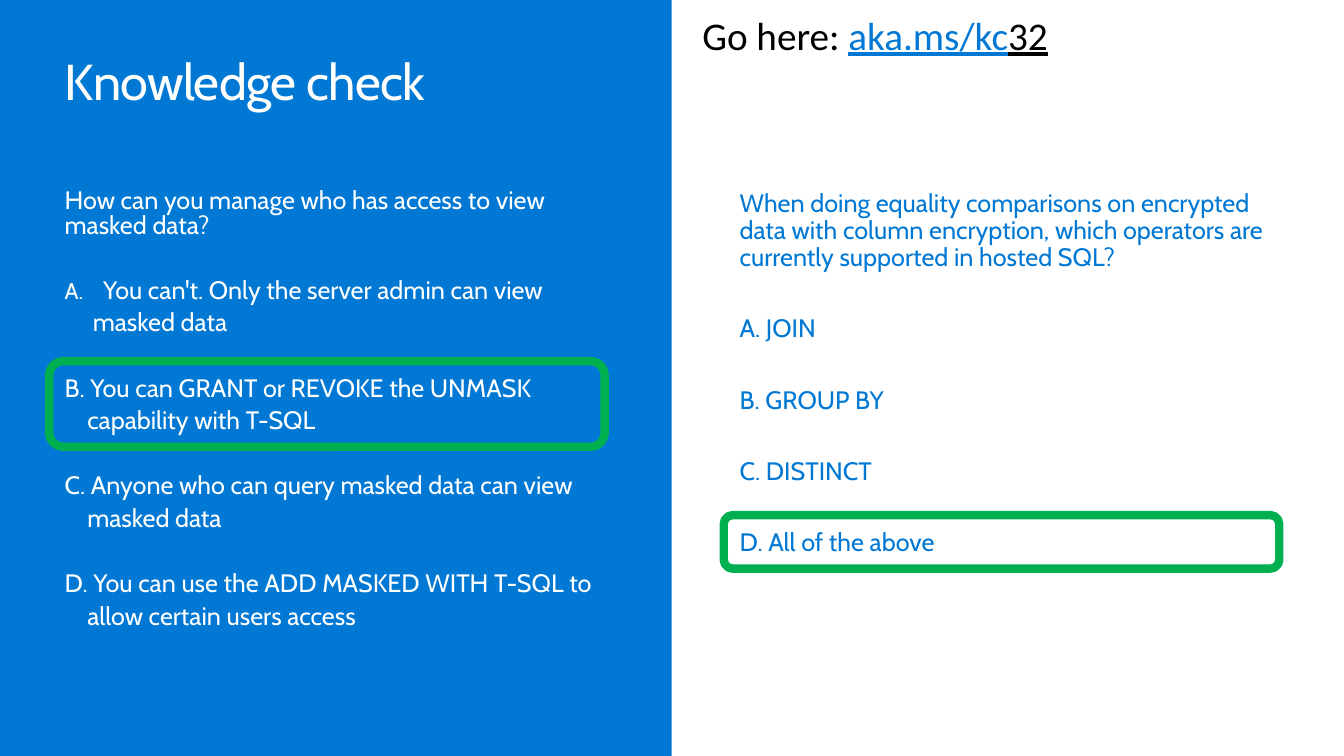
from lxml.etree import SubElement
from pptx import Presentation
from pptx.dml.color import RGBColor
from pptx.enum.shapes import MSO_SHAPE as Shape
from pptx.enum.text import MSO_ANCHOR as Anchor, MSO_AUTO_SIZE as Fit, PP_ALIGN as Align
from pptx.oxml.ns import qn
from pptx.util import Cm, Pt

BLUE = RGBColor(0x00, 0x78, 0xD4)
GREEN = RGBColor(0x00, 0xB0, 0x50)
WHITE = RGBColor(0xFF, 0xFF, 0xFF)
BLACK = RGBColor(0x00, 0x00, 0x00)
FACE = "Cabin"

MASK_ASK = "How can you manage who has access to view masked data?"
MASK = [
    ("You can't. Only the server admin can view", "masked data"),
    ("B. You can GRANT or REVOKE the UNMASK", "capability with T-SQL"),
    ("C. Anyone who can query masked data can view", "masked data"),
    ("D. You can use the ADD MASKED WITH T-SQL to", "allow certain users access"),
]
CRYPT_ASK = ("When doing equality comparisons on encrypted data with column encryption, "
             "which operators are currently supported in hosted SQL?")
CRYPT = [("A. JOIN",), ("B. GROUP BY",), ("C. DISTINCT",), ("D. All of the above",)]


def style(font, size, color, face=FACE):
    font.name, font.size, font.color.rgb = face, Pt(size), color


def frame(shape):
    """Return the wrapped, top-anchored text frame without margins."""
    text = shape.text_frame
    text.word_wrap, text.auto_size = True, Fit.NONE
    text.vertical_anchor = Anchor.TOP
    text.margin_left = text.margin_right = text.margin_top = text.margin_bottom = 0
    return text


def indent(para, left, first=0):
    props = para._p.get_or_add_pPr()
    props.set("marL", str(Cm(left)))
    props.set("indent", str(Cm(first)))
    return props


def letter(para):
    """Number the paragraph with a small capital letter."""
    props = indent(para, 0.97, -0.97)
    SubElement(props, qn("a:buSzPct"), val="90000")
    SubElement(props, qn("a:buFont"), typeface="+mj-lt")
    SubElement(props, qn("a:buAutoNum"), type="alphaUcPeriod")


def quiz(slide, left, ask, answers, color, ratio, gap, auto=False):
    """Add a question and its answers, each answer set off by a gap."""
    box = slide.shapes.add_textbox(Cm(left), Cm(4.8), Cm(13.59), Cm(11.8))
    text = frame(box)

    def add(para, words, before=0):
        para.text = words
        para.line_spacing, para.space_after = ratio, Pt(6)
        if before:
            para.space_before = Pt(before)
        return para

    paras = [add(text.paragraphs[0], ask)]
    for row, (head, *tail) in enumerate(answers):
        lead = add(text.add_paragraph(), head, gap)
        paras.append(lead)
        numbered = auto and row == 0
        if numbered:
            letter(lead)
        for words in tail:
            para = add(text.add_paragraph(), words)
            indent(para, 0.71 if numbered else 0.57)
            paras.append(para)
    for para in paras:
        style(para.font, 18, color)


def panel(slide):
    """Put the blue half behind everything else."""
    half = slide.shapes.add_shape(Shape.RECTANGLE, 0, 0, Cm(16.93), Cm(19.05))
    half.shadow.inherit = False
    half.fill.solid()
    half.fill.fore_color.rgb = BLUE
    half.line.fill.background()
    slide.shapes._spTree.insert(2, half._element)


def title(slide, words):
    head = slide.shapes.title
    head.left, head.top, head.width, head.height = Cm(1.63), Cm(1.27), Cm(13.59), Cm(1.55)
    para = frame(head).paragraphs[0]
    run = para.add_run()
    run.text = words
    run._r.get_or_add_rPr().set("spc", "-50")
    para.alignment = Align.LEFT
    style(para.font, 36, WHITE)


def mark(slide, left, top, height):
    """Ring the right answer."""
    ring = slide.shapes.add_shape(Shape.ROUNDED_RECTANGLE, Cm(left), Cm(top), Cm(14), Cm(height))
    ring.shadow.inherit = False
    ring.fill.background()
    ring.line.color.rgb, ring.line.width = GREEN, Pt(6)


def link(slide):
    box = slide.shapes.add_textbox(Cm(17.45), Cm(0.15), Cm(16.93), Cm(1.45))
    text = box.text_frame
    text.word_wrap, text.auto_size = True, Fit.SHAPE_TO_FIT_TEXT
    para = text.paragraphs[0]
    for words, color, line in (("Go here: ", BLACK, False), ("aka.ms/kc", BLUE, True),
                               ("32", BLACK, True)):
        run = para.add_run()
        run.text = words
        style(run.font, 28, color, "Calibri")
        run.font.underline = line


def main():
    deck = Presentation()
    deck.slide_width, deck.slide_height = Cm(33.87), Cm(19.05)
    slide = deck.slides.add_slide(deck.slide_layouts.get_by_name("Title Only"))

    # Left half and heading
    panel(slide)
    title(slide, "Knowledge check")

    # Two questions
    quiz(slide, 1.63, MASK_ASK, MASK, WHITE, 0.8, 23.3, auto=True)
    quiz(slide, 18.64, CRYPT_ASK, CRYPT, BLUE, 0.9, 25.4)

    # Right answers
    mark(slide, 1.24, 9.1, 2.16)
    mark(slide, 18.24, 12.98, 1.35)

    # Web address
    link(slide)
    deck.save("out.pptx")


if __name__ == "__main__":
    main()
